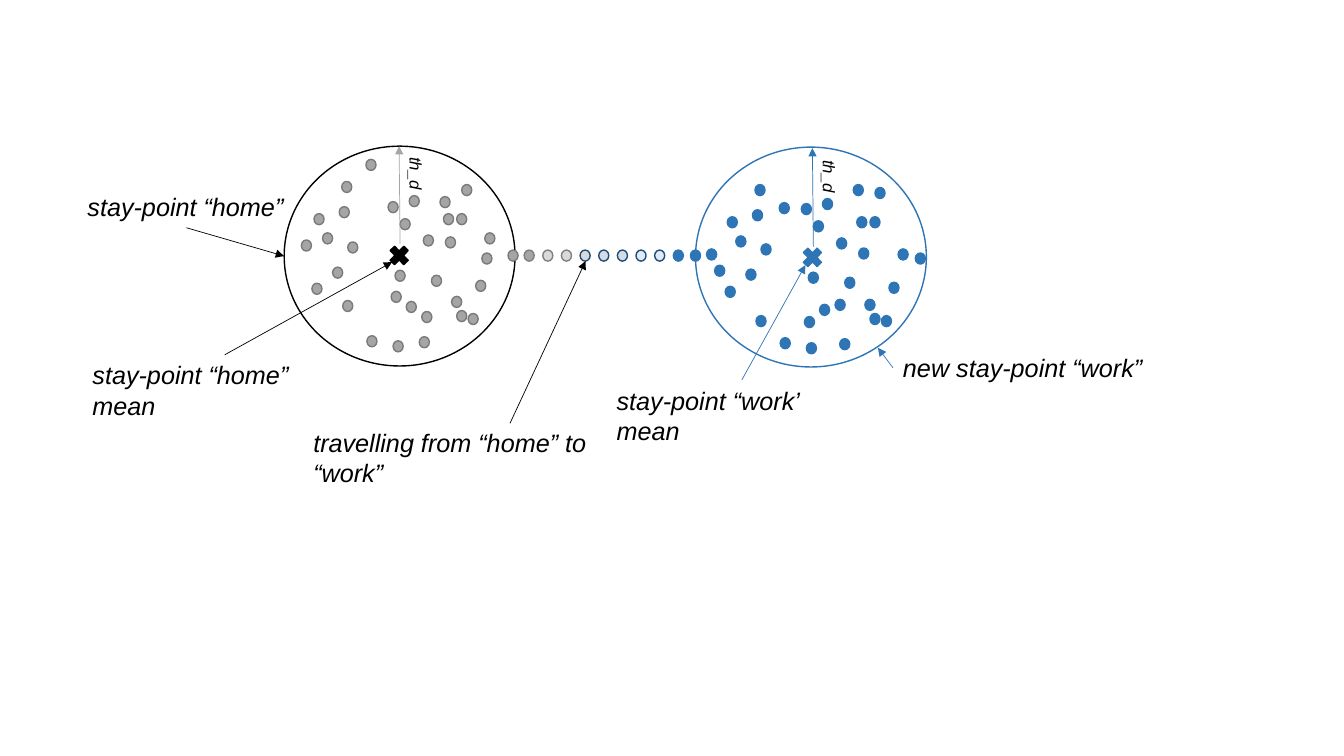
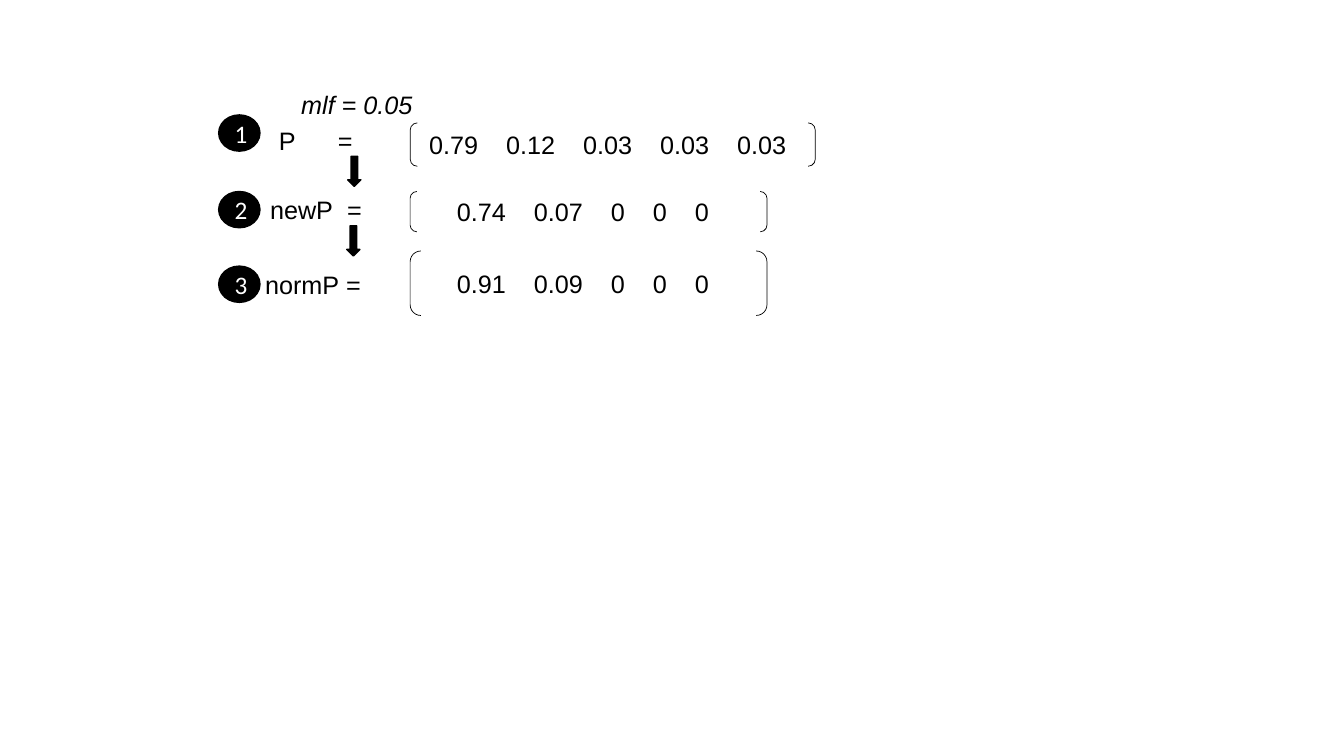
"""Draw the stay-point sketch and the probability steps as two slides."""
from dataclasses import dataclass
from typing import NamedTuple

from pptx import Presentation
from pptx.dml.color import RGBColor
from pptx.enum.shapes import MSO_CONNECTOR, MSO_SHAPE
from pptx.enum.text import MSO_ANCHOR, MSO_AUTO_SIZE, PP_ALIGN
from pptx.oxml.ns import qn
from pptx.shapes.autoshape import Shape
from pptx.slide import Slide
from pptx.text.text import TextFrame
from pptx.util import Pt

OVAL = MSO_SHAPE.OVAL
CROSS = MSO_SHAPE.MATH_MULTIPLY
DOWN = MSO_SHAPE.DOWN_ARROW
PAIR = MSO_SHAPE.DOUBLE_BRACKET
LINE = MSO_CONNECTOR.STRAIGHT
MIDDLE = MSO_ANCHOR.MIDDLE
CENTER = PP_ALIGN.CENTER
LEFT = PP_ALIGN.LEFT
GROW = MSO_AUTO_SIZE.SHAPE_TO_FIT_TEXT


@dataclass(frozen=True)
class Theme:
    """Colours, fonts and type sizes."""
    black: str = "000000"
    white: str = "FFFFFF"
    gray: str = "A5A5A5"
    edge: str = "7A7A7A"
    rim: str = "808080"
    pale: str = "D9D9D9"
    blue: str = "2E75B6"
    navy: str = "1F4E79"
    mist: str = "D6DCE5"
    sky: str = "DEEBF7"
    sans: str = "Arial"
    badge: str = "Calibri"
    body: float = 18
    small: float = 12
    thin: float = 0.5
    thick: float = 1


T = Theme()
PLAIN = {"name": T.sans, "size": Pt(T.body)}
SLANT = PLAIN | {"italic": True}
SMALL = SLANT | {"size": Pt(T.small)}
BADGE = PLAIN | {"name": T.badge}


class Box(NamedTuple):
    """Left, top, width and height in points."""
    x: float
    y: float
    w: float
    h: float


class Note(NamedTuple):
    """A text label."""
    text: str
    box: Box
    wrap: bool = False


class Arrow(NamedTuple):
    """A thin line with a head at its end."""
    x1: float
    y1: float
    x2: float
    y2: float
    color: str = T.black


class Spot(NamedTuple):
    """A point seen in both zones, at one x and two heights."""
    x: float
    home: float
    work: float


class Zone(NamedTuple):
    """A stay-point circle with its mean, radius and dots."""
    ring: Box
    fill: str | None
    mark: Box
    ray: Arrow
    tag: Box
    color: str
    dot: str
    edge: str
    dots: list[tuple[float, float]]


class Step(NamedTuple):
    """One row of the calculation."""
    name: str
    label: Box
    stop: float
    badge: float
    pair: Box
    start: float
    values: tuple[str, ...]


SHIFT = 295.2
TRACK = 178.6
SPOTS = [Spot(*row) for row in (
    (215.3, 171.4, 189.4), (244.8, 214.6, 225.4), (261.4, 113.8, 144.7),
    (248.4, 172.8, 174.2), (282.2, 193, 194.4), (290.2, 215.3, 217.4),
    (301.3, 222.5, 213.8), (308.2, 196.6, 198), (322.6, 211.7, 213.8),
    (334.4, 223.9, 225.4), (346.3, 166.3, 177.8), (318.2, 169.2, 177.1),
    (329.8, 131.8, 133.9), (277.2, 144, 145.4), (285.8, 156.2, 157.7),
    (302.4, 167.8, 169.9), (314.3, 140.4, 131.8), (224.3, 152.6, 154.8),
    (316.8, 152.6, 154.8), (326.2, 221.8, 223.9), (230.4, 166.3, 168.5),
    (242.3, 147.6, 149.8), (222.8, 202.3, 204.5), (237.6, 190.8, 192.2),
    (244.1, 129.6, 131.8), (262.1, 239.8, 241.2), (326.2, 152.6, 154.8),
    (280.8, 243.4, 244.8), (292.3, 139.7, 141.8), (279.4, 208.1, 226.1),
    (339.8, 200.2, 201.6),
)]
HOME = Zone(
    Box(203, 104.4, 164.9, 157), T.white, Box(275.8, 172.8, 18.7, 19.4),
    Arrow(285.8, 174.2, 285.1, 104.4, T.gray), Box(279.4, 105.1, 28.8, 34.6),
    T.black, T.gray, T.edge,
    [(s.x, s.home) for s in SPOTS]
    + [(299.5, 240.5), (362.9, TRACK), (344.2, 180.7)])
WORK = Zone(
    Box(496.8, 105.1, 164.9, 157), None, Box(571, 174.2, 18.7, 19.4),
    Arrow(581, 176.4, 580.3, 105.8, T.blue), Box(574.6, 107.3, 28.8, 34.6),
    T.blue, T.blue, T.blue,
    [(s.x + SHIFT, s.work) for s in SPOTS]
    + [(599.8, 241.9), (653.8, 180.7), (493.2, TRACK), (504.7, 177.8)])
TRIP = (
    (T.gray, T.rim), (T.pale, T.rim), (T.pale, T.rim), (T.pale, T.navy),
    (T.mist, T.navy), (T.mist, T.navy), (T.sky, T.navy), (T.sky, T.navy),
    (T.blue, T.blue),
)
NOTES = (
    Note("stay-point “home”", Box(55.4, 133.2, 154.8, 28.8)),
    Note("stay-point “home” mean", Box(59, 253.4, 200, 28.8), True),
    Note("new stay-point “work”", Box(637.9, 248.4, 186.5, 28.8)),
    Note("stay-point “work’ mean", Box(433.4, 271.4, 190, 28.8), True),
    Note("travelling from “home” to “work”",
         Box(216.7, 301.7, 255, 28.8), True),
)
ARROWS = (
    Arrow(133.2, 162.7, 202.9, 182.9), Arrow(160.6, 253.4, 280.1, 187.2),
    Arrow(637.9, 262.8, 627.1, 248.4, T.blue),
    Arrow(529.9, 271.4, 575.3, 189.4, T.blue),
    Arrow(364.3, 302.4, 418.3, 186.5),
)
STEPS = (
    Step("P", Box(192.2, 85.7, 80.6, 28.8), 42, 82.1,
         Box(293, 87.8, 289.4, 31), 306.5,
         ("0.79", "0.12", "0.03", "0.03", "0.03")),
    Step("newP", Box(185.8, 135.4, 86.4, 28.8), 55, 136.8,
         Box(293, 136.8, 254.9, 28.8), 326.5,
         ("0.74", "0.07", "0", "0", "0")),
    Step("normP", Box(182.2, 188.6, 90, 28.8), 58, 190.1,
         Box(293, 179.3, 254.9, 46.1), 326.5,
         ("0.91", "0.09", "0", "0", "0")),
)


def rgb(color: str) -> RGBColor:
    """Turn a hex string into a colour."""
    return RGBColor.from_string(color)


def apply(target: object, values: dict) -> None:
    """Set each named attribute on the target."""
    for name, value in values.items():
        setattr(target, name, value)


def write(frame: TextFrame, text: str, look: dict, color: str = T.black,
          align: PP_ALIGN = LEFT, stops: tuple[float, ...] = ()) -> None:
    """Put one styled run in the frame, with tab stops if given."""
    para = frame.paragraphs[0]
    para.alignment = align
    run = para.add_run()
    run.text = text
    apply(run.font, look)
    run.font.color.rgb = rgb(color)
    if stops:
        tabs = para._p.get_or_add_pPr().makeelement(qn("a:tabLst"), {})
        para._p.get_or_add_pPr().append(tabs)
        for stop in stops:
            tabs.append(tabs.makeelement(
                qn("a:tab"), {"pos": str(int(Pt(stop))), "algn": "l"}))


def shape(slide: Slide, kind: MSO_SHAPE, box: Box, fill: str | None,
          line: str, width: float = T.thick) -> Shape:
    """Add a flat preset shape."""
    item = slide.shapes.add_shape(kind, *map(Pt, box))
    item.shadow.inherit = False
    if fill:
        item.fill.solid()
        item.fill.fore_color.rgb = rgb(fill)
    else:
        item.fill.background()
    item.line.color.rgb = rgb(line)
    item.line.width = Pt(width)
    return item


def note(slide: Slide, item: Note, look: dict = SLANT,
         stops: tuple[float, ...] = ()) -> Shape:
    """Add a text label."""
    label = slide.shapes.add_textbox(*map(Pt, item.box))
    apply(label.text_frame, {"word_wrap": item.wrap, "auto_size": GROW})
    write(label.text_frame, item.text, look, stops=stops)
    return label


def arrow(slide: Slide, item: Arrow) -> None:
    """Add a line with a triangle at its end."""
    line = slide.shapes.add_connector(LINE, *map(Pt, item[:4]))
    line.line.color.rgb = rgb(item.color)
    line.line.width = Pt(T.thin)
    props = line.element.spPr
    edge = props.find(qn("a:ln"))
    edge.append(edge.makeelement(qn("a:tailEnd"), {"type": "triangle"}))
    props.append(props.makeelement(qn("a:effectLst"), {}))


def dot(slide: Slide, x: float, y: float, fill: str, line: str) -> None:
    """Add one location dot."""
    shape(slide, OVAL, Box(x, y, 7.2, 7.9), fill, line)


def zone(slide: Slide, item: Zone) -> None:
    """Add a stay-point zone."""
    shape(slide, OVAL, item.ring, item.fill, item.color)
    shape(slide, CROSS, item.mark, item.color, item.color)
    for x, y in item.dots:
        dot(slide, x, y, item.dot, item.edge)
    arrow(slide, item.ray)
    tag = note(slide, Note("th_d", item.tag), SMALL)
    tag.element.txBody.bodyPr.set("vert", "eaVert")


def step(slide: Slide, order: int, item: Step) -> None:
    """Add a numbered row with its bracketed values."""
    pair = shape(slide, PAIR, item.pair, None, T.black, T.thin)
    inset = item.start - item.pair.x - 0.05 * item.pair.h
    apply(pair.text_frame, {"vertical_anchor": MIDDLE,
                            "margin_left": Pt(inset), "margin_right": 0})
    stops, place = [], 0
    for value in item.values[:-1]:
        place += 55 if "." in value else 30
        stops.append(place)
    write(pair.text_frame, "\t".join(item.values), PLAIN, stops=tuple(stops))
    note(slide, Note(f"{item.name}\t=", item.label, True), PLAIN, (item.stop,))
    badge = shape(slide, OVAL, Box(156.2, item.badge, 29.5, 25.9),
                  T.black, T.black)
    badge.text_frame.vertical_anchor = MIDDLE
    write(badge.text_frame, str(order), BADGE, T.white, CENTER)


def main() -> None:
    """Build and save both slides."""
    deck = Presentation()
    apply(deck, {"slide_width": Pt(960), "slide_height": Pt(540)})
    blank = deck.slide_layouts[6]

    stays = deck.slides.add_slide(blank)
    for item in (HOME, WORK):
        zone(stays, item)
    for index, (fill, line) in enumerate(TRIP):
        dot(stays, 374.4 + 13.32 * index, TRACK, fill, line)
    for item in ARROWS:
        arrow(stays, item)
    for item in NOTES:
        note(stays, item)

    steps = deck.slides.add_slide(blank)
    for order, item in enumerate(STEPS, 1):
        step(steps, order, item)
    for x, y in ((248.4, 111.6), (247.7, 161.3)):
        shape(steps, DOWN, Box(x, y, 9.4, 21.6), T.black, T.black)
    note(steps, Note("mlf = 0.05", Box(208.1, 60.5, 96.5, 28.8)))

    deck.save("out.pptx")


if __name__ == "__main__":
    main()
